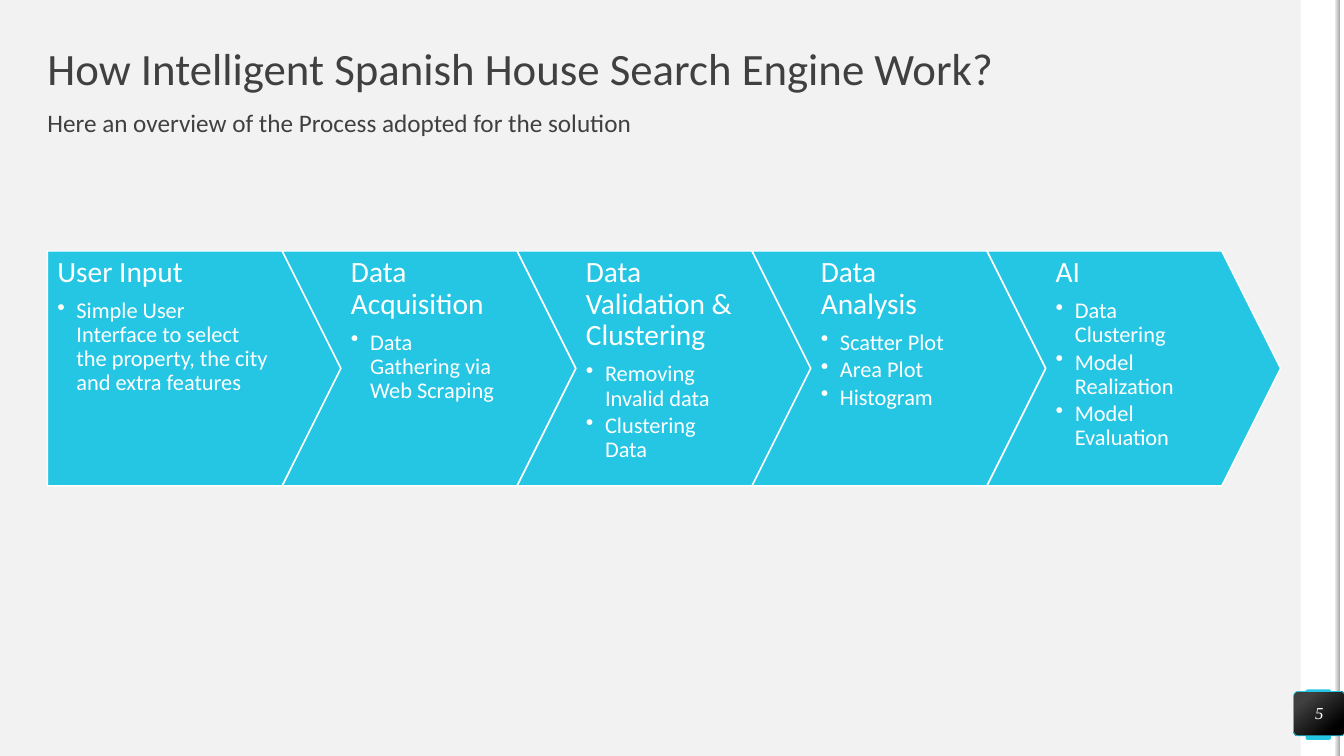
from lxml import etree
from pptx import Presentation
from pptx.dml.color import RGBColor
from pptx.enum.shapes import MSO_SHAPE
from pptx.enum.text import MSO_ANCHOR, MSO_AUTO_SIZE, PP_ALIGN
from pptx.oxml.ns import qn
from pptx.util import Inches, Pt

TITLE = "How Intelligent Spanish House Search Engine Work?"
SUBTITLE = "Here an overview of the Process adopted for the solution"
PAGE_NUMBER = "5"
STEPS = [
    ("User Input", ["Simple User Interface to select the property, the city and extra features"]),
    ("Data Acquisition", ["Data Gathering via Web Scraping"]),
    ("Data Validation & Clustering", ["Removing Invalid data", "Clustering Data"]),
    ("Data Analysis", ["Scatter Plot", "Area Plot", "Histogram"]),
    ("AI", ["Data Clustering", "Model Realization", "Model Evaluation"]),
]

CYAN, WHITE, BLACK = "25C6E3", "FFFFFF", "000000"
DARK_GRAY, MID_GRAY, LIGHT_GRAY = "404040", "A6A6A6", "F2F2F2"
MARGIN = 0.47
STEP_TOP, STEP_WIDTH, STEP_HEIGHT, STEP_PITCH = 2.49, 2.91, 2.33, 2.33
POINT_RATIO = 0.25
POINT_DEPTH = STEP_HEIGHT * POINT_RATIO
BULLET_INDENT = 0.19


def color(value):
    return RGBColor.from_string(value)


def add_box(slide, kind, left, top, width, height, fill=None, line=None, line_width=1, adjust=None):
    shape = slide.shapes.add_shape(kind, Inches(left), Inches(top), Inches(width), Inches(height))
    shape.shadow.inherit = False
    if fill:
        shape.fill.solid()
        shape.fill.fore_color.rgb = color(fill)
    if line:
        shape.line.color.rgb = color(line)
        shape.line.width = Pt(line_width)
    else:
        shape.line.fill.background()
    if adjust is not None:
        shape.adjustments[0] = adjust
    return shape


def set_gradient(shape, angle, stops):
    """Apply two (position, colour) stops; the angle runs counter-clockwise."""
    shape.fill.gradient()
    shape.fill.gradient_angle = angle
    for stop, (position, value) in zip(shape.fill.gradient_stops, stops):
        stop.position = position
        stop.color.rgb = color(value)


def prepare_frame(shape, insets=(0, 0, 0, 0), anchor=MSO_ANCHOR.TOP):
    frame = shape.text_frame
    frame.word_wrap = True
    frame.auto_size = MSO_AUTO_SIZE.NONE
    frame.vertical_anchor = anchor
    frame.margin_left, frame.margin_top, frame.margin_right, frame.margin_bottom = map(Inches, insets)
    return frame


def write(paragraph, text, size, value, font="Calibri", align=PP_ALIGN.LEFT, after=0):
    paragraph.alignment = align
    paragraph.line_spacing = 0.9
    paragraph.space_before = Pt(0)
    paragraph.space_after = Pt(after)
    run = paragraph.add_run()
    run.text = text
    run.font.size = Pt(size)
    run.font.name = font
    run.font.color.rgb = color(value)
    return run


def add_bullet(paragraph):
    properties = paragraph._p.get_or_add_pPr()
    properties.set("marL", str(Inches(BULLET_INDENT)))
    properties.set("indent", str(-Inches(BULLET_INDENT)))
    etree.SubElement(properties, qn("a:buChar")).set("char", "•")


def add_text_box(slide, left, top, width, height, insets=(0, 0, 0, 0)):
    box = slide.shapes.add_textbox(Inches(left), Inches(top), Inches(width), Inches(height))
    return prepare_frame(box, insets)


def add_side_band(slide):
    add_box(slide, MSO_SHAPE.RECTANGLE, 12.9, 0, 0.39, 7.5, WHITE)
    add_box(slide, MSO_SHAPE.ROUNDED_RECTANGLE, 12.95, 6.84, 0.25, 0.5, CYAN, adjust=0.07)
    add_box(slide, MSO_SHAPE.RECTANGLE, 13.28, 0, 0.05, 7.5, WHITE)
    edge = add_box(slide, MSO_SHAPE.RECTANGLE, 13.24, 0, 0.05, 7.5)
    set_gradient(edge, 0, [(0, LIGHT_GRAY), (1, MID_GRAY)])


def add_headings(slide):
    title = slide.shapes.title
    title.left, title.top, title.width, title.height = map(Inches, (MARGIN, 0.47, 10.79, 0.47))
    frame = prepare_frame(title, anchor=MSO_ANCHOR.MIDDLE)
    write(frame.paragraphs[0], TITLE, 32, DARK_GRAY)
    frame = add_text_box(slide, MARGIN, 1.1, 5.98, 0.39)
    write(frame.paragraphs[0], SUBTITLE, 18, DARK_GRAY)


def add_page_badge(slide):
    badge = add_box(slide, MSO_SHAPE.ROUNDED_RECTANGLE, 12.83, 6.86, 0.51, 0.44,
                    line=CYAN, line_width=0.5, adjust=0.1)
    set_gradient(badge, 310, [(0.2, DARK_GRAY), (0.82, BLACK)])
    frame = prepare_frame(badge, anchor=MSO_ANCHOR.MIDDLE)
    run = write(frame.paragraphs[0], PAGE_NUMBER, 12, WHITE, "Times New Roman", PP_ALIGN.CENTER)
    run.font.italic = True


def add_step(slide, index, heading, details):
    left = MARGIN + index * STEP_PITCH
    first = index == 0
    kind = MSO_SHAPE.PENTAGON if first else MSO_SHAPE.CHEVRON
    add_box(slide, kind, left, STEP_TOP, STEP_WIDTH, STEP_HEIGHT, CYAN, WHITE, adjust=POINT_RATIO)

    text_left = left if first else left + POINT_DEPTH
    text_width = STEP_WIDTH - POINT_DEPTH / 2 if first else STEP_WIDTH - 2 * POINT_DEPTH
    insets = (0.1, 0.06, 0.41 if first else 0.1, 0.06)
    frame = add_text_box(slide, text_left, STEP_TOP, text_width, STEP_HEIGHT, insets)
    write(frame.paragraphs[0], heading, 21, WHITE, after=7.35)
    for detail in details:
        paragraph = frame.add_paragraph()
        paragraph.level = 1
        write(paragraph, detail, 16, WHITE, after=2.4)
        add_bullet(paragraph)


def main():
    presentation = Presentation()
    presentation.slide_width, presentation.slide_height = Inches(13.33), Inches(7.5)
    slide = presentation.slides.add_slide(presentation.slide_layouts[5])
    slide.background.fill.solid()
    slide.background.fill.fore_color.rgb = color(LIGHT_GRAY)
    add_side_band(slide)
    add_headings(slide)
    add_page_badge(slide)
    for index, (heading, details) in enumerate(STEPS):
        add_step(slide, index, heading, details)
    presentation.save("out.pptx")


if __name__ == "__main__":
    main()
